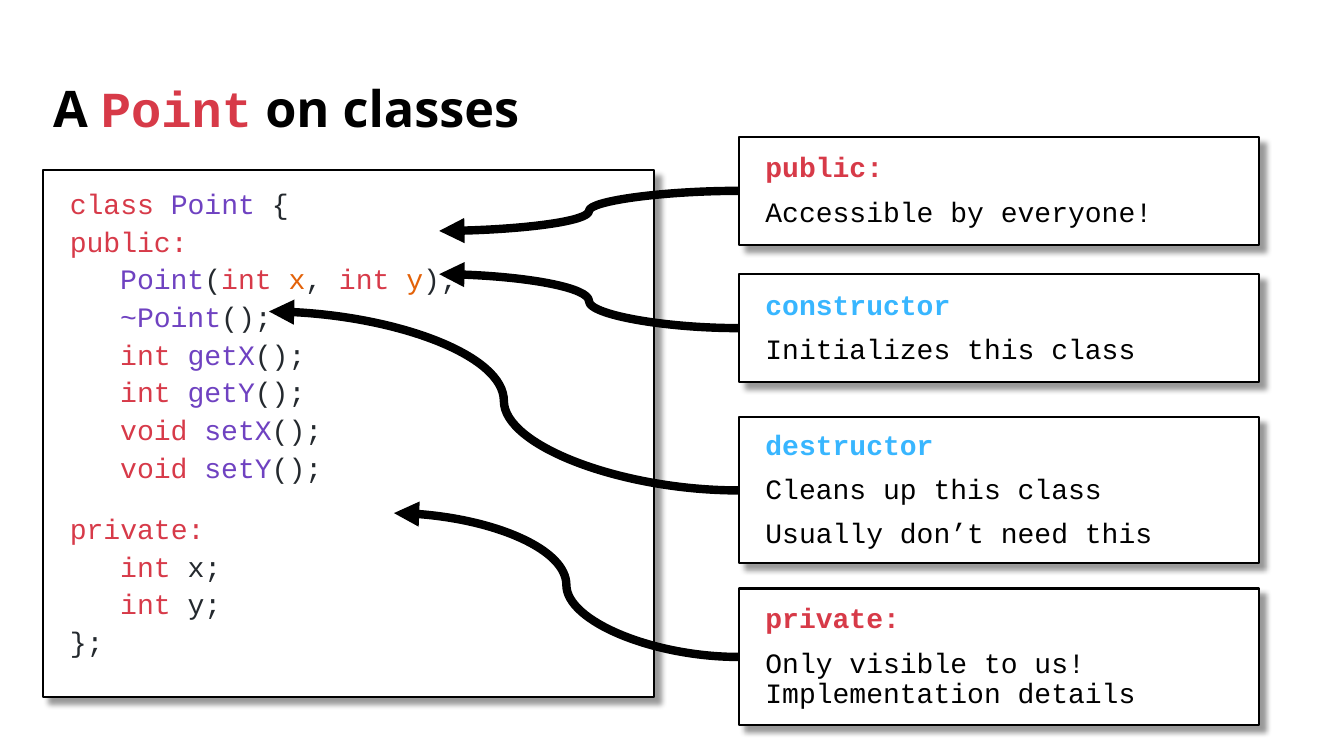
from pptx import Presentation
from pptx.dml.color import RGBColor
from pptx.enum.shapes import MSO_CONNECTOR as Link, MSO_SHAPE as Preset
from pptx.enum.text import MSO_ANCHOR as Anchor, PP_ALIGN as Align
from pptx.oxml import parse_xml
from pptx.oxml.ns import nsdecls, qn
from pptx.util import Cm, Pt

BLACK = RGBColor(0x00, 0x00, 0x00)
WHITE = RGBColor(0xFF, 0xFF, 0xFF)
KEYWORD = RGBColor(0xD7, 0x3A, 0x49)
ACCESS = RGBColor(0xD7, 0x3A, 0x48)
NAME = RGBColor(0x6F, 0x42, 0xC1)
ARGUMENT = RGBColor(0xE3, 0x62, 0x09)
PLAIN = RGBColor(0x24, 0x29, 0x2E)
SPECIAL = RGBColor(0x38, 0xB6, 0xFF)

SHADOW = (
    f'<a:outerShdw {nsdecls("a")} blurRad="50800" dist="76200" dir="2700000" algn="tl" rotWithShape="0">'
    '<a:srgbClr val="000000"><a:alpha val="40000"/></a:srgbClr></a:outerShdw>'
)


class ClassSlide:
    """Draws the title, code panel, notes and arrows in one style."""

    heading_font = "Open Sans"
    code_font = "Courier New"

    def __init__(self, slide):
        self.slide = slide

    def add_run(self, paragraph, text, color, size, font, bold=False):
        run = paragraph.add_run()
        run.text = text
        run.font.name = font
        run.font.size = Pt(size)
        run.font.bold = bold
        run.font.color.rgb = color

    def title(self, left, top, width, height, parts):
        frame = self.slide.shapes.add_textbox(Cm(left), Cm(top), Cm(width), Cm(height)).text_frame
        frame.word_wrap = True
        frame.vertical_anchor = Anchor.MIDDLE
        heading = frame.paragraphs[0]
        heading.line_spacing = 0.9
        for text, color, font in parts:
            self.add_run(heading, text, color, 36, font, True)

    def panel(self, left, top, width, height, anchor):
        panel = self.slide.shapes.add_shape(Preset.RECTANGLE, Cm(left), Cm(top), Cm(width), Cm(height))
        panel.fill.solid()
        panel.fill.fore_color.rgb = WHITE
        panel.line.color.rgb = BLACK
        panel.line.width = Pt(1.5)
        panel.shadow.inherit = False
        panel._element.spPr.find(qn("a:effectLst")).append(parse_xml(SHADOW))
        frame = panel.text_frame
        frame.word_wrap = True
        frame.vertical_anchor = anchor
        frame.margin_left = frame.margin_right = Cm(0.64)
        frame.margin_top = frame.margin_bottom = Cm(0.64)
        return panel

    def add_line(self, frame, index, spacing, before=10, indent=0.03):
        line = frame.add_paragraph() if index else frame.paragraphs[0]
        line.alignment = Align.LEFT
        line.line_spacing = spacing
        line.space_before = Pt(before)
        properties = line._p.get_or_add_pPr()
        properties.set("marL", str(Cm(indent)))
        properties.set("indent", "0")
        return line

    def code(self, left, top, width, height, lines):
        frame = self.panel(left, top, width, height, Anchor.TOP).text_frame
        for index, (indent, before, tokens) in enumerate(lines):
            line = self.add_line(frame, index, 0.7, before, indent)
            for text, color in tokens:
                self.add_run(line, text, color, 20.1, self.code_font)

    def note(self, left, top, width, height, term, color, remarks):
        note = self.panel(left, top, width, height, Anchor.MIDDLE)
        frame = note.text_frame
        self.add_run(self.add_line(frame, 0, 0.9), term, color, 20, self.code_font, True)
        for index, remark in enumerate(remarks, 1):
            self.add_run(self.add_line(frame, index, 0.9), remark, BLACK, 20, self.code_font)
        return note

    def arrow(self, note, tip_x, tip_y):
        start_y = note.top + note.height // 2
        arrow = self.slide.shapes.add_connector(Link.CURVE, note.left, start_y, Cm(tip_x), Cm(tip_y))
        arrow.begin_connect(note, 1)
        arrow.line.color.rgb = BLACK
        arrow.line.width = Pt(6)
        properties = arrow._element.spPr
        properties.find(qn("a:ln")).append(parse_xml(f'<a:tailEnd {nsdecls("a")} type="triangle"/>'))
        properties.append(parse_xml(f'<a:effectLst {nsdecls("a")}/>'))


def member(kind, name):
    return 1.3, 10, [(kind + " ", KEYWORD), (name, NAME), ("();", PLAIN)]


def field(name):
    return 1.3, 10, [("int", KEYWORD), (f" {name};", PLAIN)]


CODE = [
    (0.03, 10, [("class ", KEYWORD), ("Point", NAME), (" {", PLAIN)]),
    (0.03, 10, [("public:", KEYWORD)]),
    (1.3, 10, [("Point", NAME), ("(", PLAIN), ("int ", KEYWORD), ("x", ARGUMENT), (", ", PLAIN),
               ("int ", KEYWORD), ("y", ARGUMENT), (");", PLAIN)]),
    (1.3, 10, [("~Point", NAME), ("();", PLAIN)]),
    member("int", "getX"),
    member("int", "getY"),
    member("void", "setX"),
    member("void", "setY"),
    (0.03, 27, [("private:", KEYWORD)]),
    field("x"),
    field("y"),
    (0.03, 10, [("};", PLAIN)]),
]

NOTES = [
    (3.45, 2.72, "public:", ACCESS, ["Accessible by everyone!"], (11.07, 5.82)),
    (6.91, 2.72, "constructor", SPECIAL, ["Initializes this class"], (11.07, 6.91)),
    (10.52, 3.68, "destructor", SPECIAL, ["Cleans up this class", "Usually don’t need this"], (6.78, 7.85)),
    (14.83, 3.45, "private:", ACCESS, ["Only visible to us! Implementation details"], (9.93, 12.93)),
]


def main():
    deck = Presentation()
    deck.slide_width, deck.slide_height = Cm(33.87), Cm(19.05)
    page = ClassSlide(deck.slides.add_slide(deck.slide_layouts[6]))
    page.title(1.09, 1.75, 15.39, 2.13, [
        ("A ", BLACK, page.heading_font),
        ("Point", ACCESS, page.code_font),
        (" on classes", BLACK, page.heading_font),
    ])
    page.code(1.09, 4.29, 15.39, 13.28, CODE)
    for top, height, term, color, remarks, tip in NOTES:
        note = page.note(18.62, top, 13.11, height, term, color, remarks)
        page.arrow(note, *tip)
    deck.save("out.pptx")


if __name__ == "__main__":
    main()
